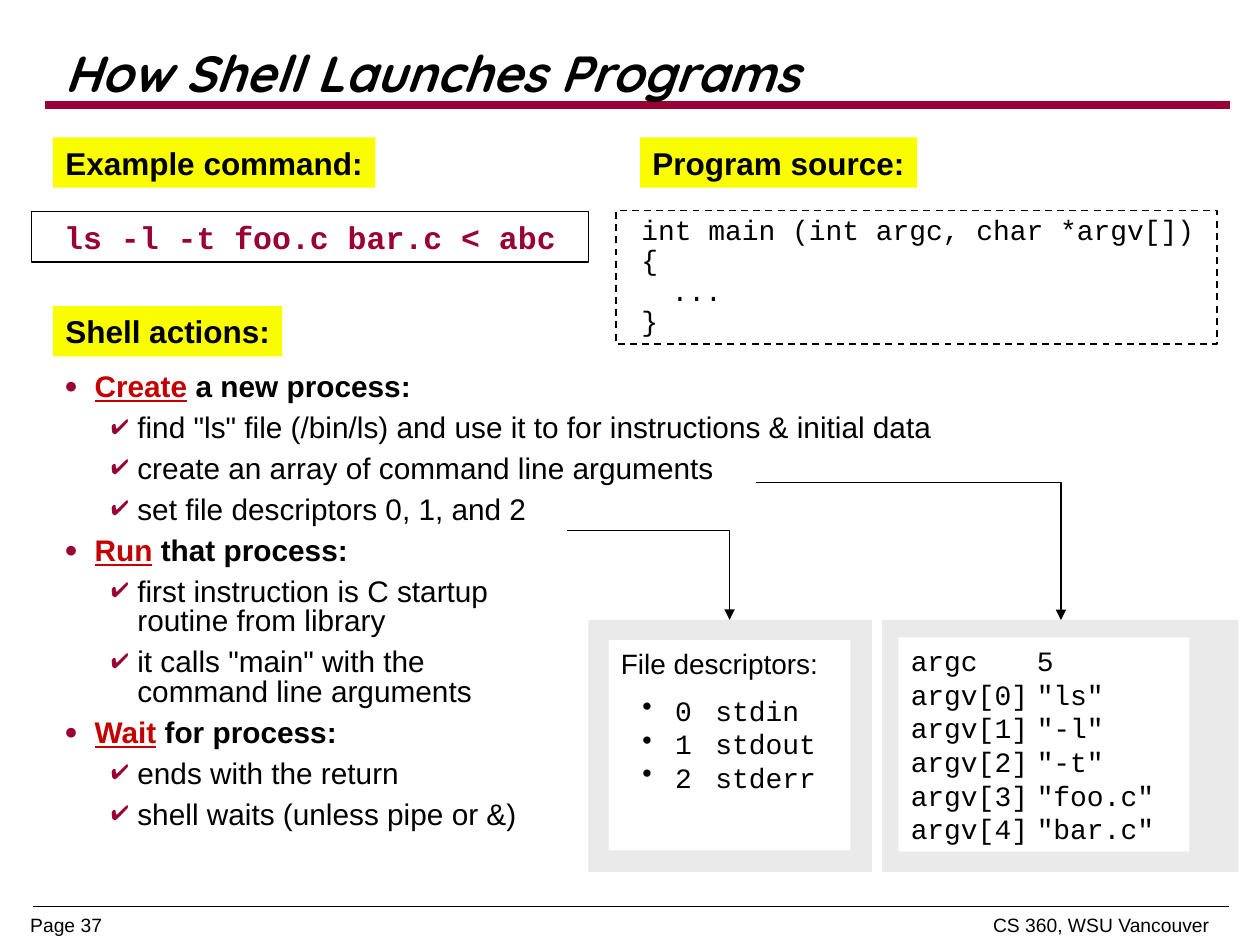
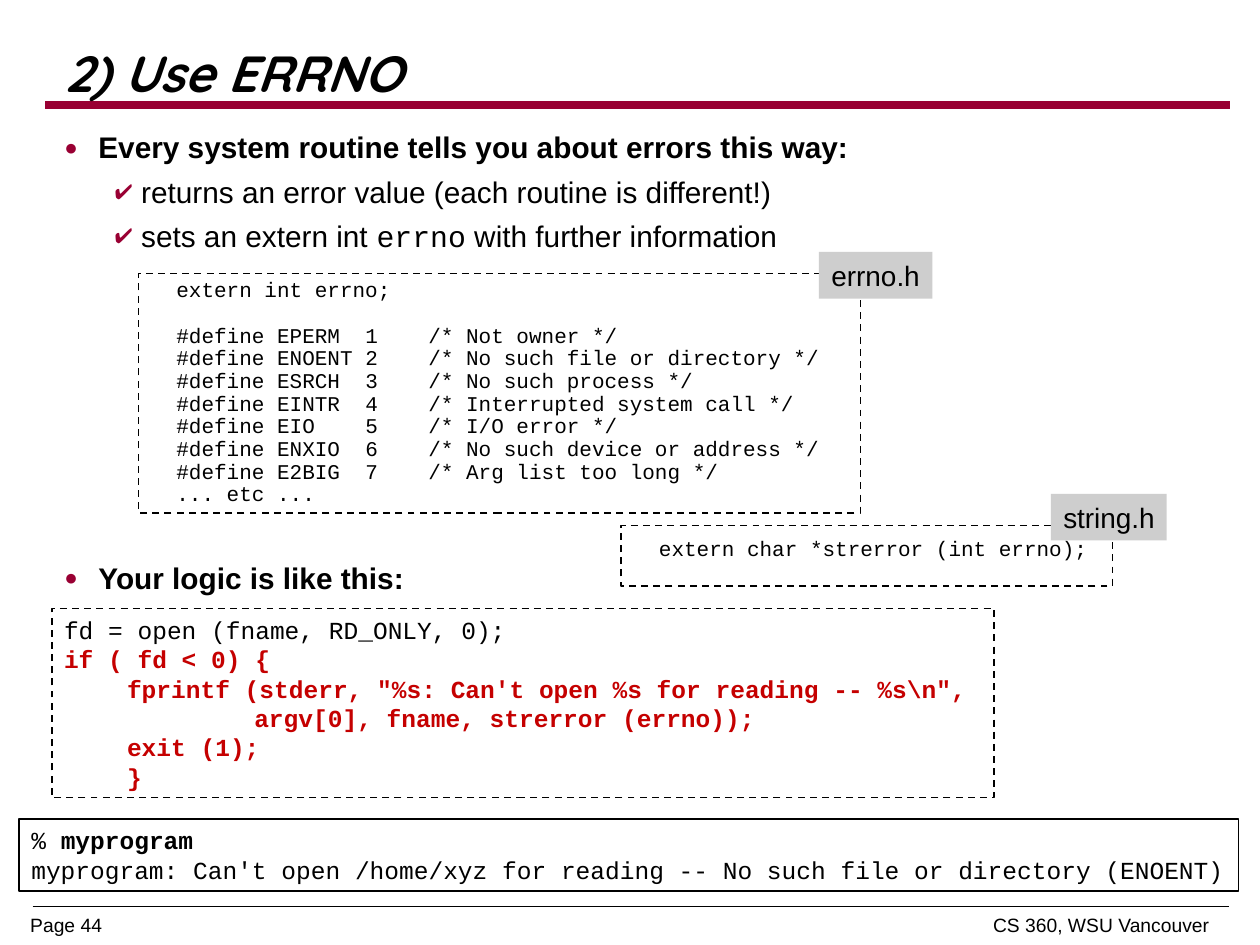
from lxml.etree import SubElement
from pptx import Presentation
from pptx.dml.color import RGBColor
from pptx.enum.dml import MSO_LINE
from pptx.enum.shapes import MSO_CONNECTOR, MSO_SHAPE
from pptx.enum.text import MSO_ANCHOR, MSO_AUTO_SIZE, PP_ALIGN
from pptx.oxml.ns import qn
from pptx.util import Inches, Pt

SANS, MONO, DISPLAY = "Arial", "Courier New", "Quicksand"
BLACK, WHITE, MAROON, RED = "000000", "FFFFFF", "990033", "C50000"
YELLOW, PANEL, TAG = "FAFD00", "EAEAEA", "CECECE"


def rgb(value):
    return RGBColor.from_string(value)


def inches(*values):
    return [Inches(v) for v in values]


class Deck:
    def __init__(self):
        self.prs = Presentation()
        self.prs.slide_width, self.prs.slide_height = inches(10, 7.5)
        self.s = None

    def slide(self, title, page):
        self.s = self.prs.slides.add_slide(self.prs.slide_layouts[1])
        tf = self.placeholder(0, 0.42, 0.31, 9.57, 0.6, MSO_ANCHOR.MIDDLE)
        self.para(tf, title, size=29, font=DISPLAY, bold=True, italic=True, spacing=0.87)
        rule = self.line(0.36, 0.83, 9.76, 0.83, MAROON, 4.5)
        self.s.shapes._spTree.insert(2, rule._element)
        self.line(0.26, 7.19, 9.75, 7.19, BLACK, 0.25)
        self.footer(f"Page {page}", 0.24, 2, PP_ALIGN.LEFT)
        self.footer("CS 360, WSU Vancouver", 6.6, 3, PP_ALIGN.RIGHT)

    def footer(self, text, x, w, align):
        tf = self.s.shapes.add_textbox(*inches(x, 7.26, w, 0.24)).text_frame
        self.frame(tf, 0, 0, 0)
        self.para(tf, text, size=11, align=align, spacing=0.96)

    def frame(self, tf, left, right, vertical, anchor=MSO_ANCHOR.TOP):
        tf.auto_size = MSO_AUTO_SIZE.NONE
        tf.word_wrap = True
        tf.vertical_anchor = anchor
        tf.margin_left, tf.margin_right = inches(left, right)
        tf.margin_top = tf.margin_bottom = Inches(vertical)

    def placeholder(self, idx, x, y, w, h, anchor=MSO_ANCHOR.TOP):
        sp = self.s.placeholders[idx]
        sp.left, sp.top, sp.width, sp.height = inches(x, y, w, h)
        self.frame(sp.text_frame, 0.09, 0.09, 0.05, anchor)
        return sp.text_frame

    def para(self, tf, runs, size=16, font=SANS, color=BLACK, bold=False, italic=False,
             align=PP_ALIGN.LEFT, spacing=1.0, before=0, level=0, margin=0, hang=0,
             bullet=None, tabs=()):
        p = tf.paragraphs[0]
        if p.runs:
            p = tf.add_paragraph()
        p.alignment, p.level, p.line_spacing = align, level, spacing
        p.space_before, p.space_after = Pt(before), Pt(0)
        pPr = p._p.get_or_add_pPr()
        pPr.set("marL", str(Inches(margin)))
        pPr.set("indent", str(Inches(-hang)))
        if bullet:
            char, bullet_color, percent = bullet
            clr = SubElement(pPr, qn("a:buClr"))
            SubElement(clr, qn("a:srgbClr"), val=bullet_color)
            SubElement(pPr, qn("a:buSzPct"), val=str(percent * 1000))
            SubElement(pPr, qn("a:buChar"), char=char)
        if tabs:
            tab_list = SubElement(pPr, qn("a:tabLst"))
            for pos in tabs:
                SubElement(tab_list, qn("a:tab"), pos=str(Inches(pos)), algn="l")
        style = dict(size=size, font=font, color=color, bold=bold, italic=italic)
        for text, changes in [(runs, {})] if isinstance(runs, str) else runs:
            for i, part in enumerate(text.split("\n")):
                if i:
                    p.add_line_break()
                self.run(p, part, **{**style, **changes})

    def run(self, p, text, size, font, color, bold, italic, underline=False):
        r = p.add_run()
        r.text = text
        r.font.name, r.font.size = font, Pt(size)
        r.font.bold, r.font.italic, r.font.underline = bold, italic, underline
        r.font.color.rgb = rgb(color)

    def bullets(self, tf, items, margins, spacing):
        for level, runs, before in items:
            self.para(tf, runs, size=17, bold=level == 0, spacing=spacing, before=before,
                      level=level, margin=margins[level],
                      hang=0.21 if level else margins[0],
                      bullet=("✔", MAROON, 70) if level else ("●", MAROON, 75))

    def box(self, x, y, w, h, fill=None, line=None, dash=False, left=0.1, right=0,
            vertical=0.05, anchor=MSO_ANCHOR.TOP):
        sp = self.s.shapes.add_shape(MSO_SHAPE.RECTANGLE, *inches(x, y, w, h))
        sp.shadow.inherit = False
        if fill:
            sp.fill.solid()
            sp.fill.fore_color.rgb = rgb(fill)
        else:
            sp.fill.background()
        if line:
            sp.line.color.rgb = rgb(line)
            sp.line.width = Pt(1)
            if dash:
                sp.line.dash_style = MSO_LINE.DASH
        else:
            sp.line.fill.background()
        self.frame(sp.text_frame, left, right, vertical, anchor)
        return sp.text_frame

    def label(self, text, x, y, w, h=0.4, fill=YELLOW, size=18, bold=True):
        self.para(self.box(x, y, w, h, fill), text, size=size, bold=bold)

    def tag(self, text, x, y, w):
        self.label(text, x, y, w, 0.37, TAG, 16, False)

    def code(self, tf, lines, **style):
        for line in lines:
            text, changes = (line, {}) if isinstance(line, str) else line
            self.para(tf, text, **{"font": MONO, **style, **changes})

    def line(self, x1, y1, x2, y2, color=BLACK, width=1, kind=MSO_CONNECTOR.STRAIGHT):
        c = self.s.shapes.add_connector(kind, *inches(x1, y1, x2, y2))
        c.line.color.rgb = rgb(color)
        c.line.width = Pt(width)
        SubElement(c._element.spPr, qn("a:effectLst"))
        return c

    def elbow_arrow(self, x1, y1, x2, y2):
        c = self.line(x1, y1, x2, y2, kind=MSO_CONNECTOR.ELBOW)
        c._element.spPr.find(qn("a:prstGeom")).set("prst", "bentConnector2")
        SubElement(c.line._get_or_add_ln(), qn("a:tailEnd"), type="triangle")


def shell_slide(d):
    d.slide("How Shell Launches Programs", 37)

    def step(verb, rest):
        return 0, [(verb, {"color": RED, "underline": True}), (rest, {})], 6.4

    def detail(text):
        return 1, text, 6.4

    d.bullets(d.placeholder(1, 0.42, 2.92, 9.33, 3.96), [
        step("Create", " a new process:"),
        detail('find "ls" file (/bin/ls) and use it to for instructions & initial data'),
        detail("create an array of command line arguments"),
        detail("set file descriptors 0, 1, and 2"),
        step("Run", " that process:"),
        detail("first instruction is C startup\nroutine from library"),
        detail('it calls "main" with the\ncommand line arguments'),
        step("Wait", " for process:"),
        detail("ends with the return"),
        detail("shell waits (unless pipe or &)"),
    ], (0.24, 0.58), 0.83)

    d.label("Example command:", 0.42, 1.09, 2.56)
    d.label("Program source:", 5.08, 1.09, 2.2)
    d.label("Shell actions:", 0.42, 2.43, 1.82)

    command = d.box(0.25, 1.68, 4.42, 0.4, line=BLACK, right=0.1, anchor=MSO_ANCHOR.MIDDLE)
    d.code(command, ["ls -l -t foo.c bar.c < abc"], size=18, color=MAROON, bold=True,
           align=PP_ALIGN.CENTER)
    source = d.box(4.89, 1.67, 4.77, 1.06, line=BLACK, dash=True, left=0.2)
    d.code(source, ["int main (int argc, char *argv[])", "{", ("...", {"margin": 0.24}), "}"],
           spacing=0.9)

    d.box(4.67, 4.92, 2.25, 2, PANEL)
    descriptors = d.box(4.83, 5.08, 1.92, 1.67, WHITE)
    d.para(descriptors, "File descriptors:")
    for i, name in enumerate(("stdin", "stdout", "stderr")):
        d.para(descriptors, f"{i}\t{name}", font=MONO, level=1, margin=0.43, hang=0.26,
               spacing=1 if i else 1.4, bullet=("•", BLACK, 100), tabs=(0.75,))
    d.elbow_arrow(4.5, 4.21, 5.79, 4.92)

    d.box(7, 4.92, 2.83, 2, PANEL)
    arguments = ["ls", "-l", "-t", "foo.c", "bar.c"]
    rows = [f'argv[{i}]\t"{a}"' for i, a in enumerate(arguments)]
    d.code(d.box(7.13, 5.06, 2.31, 1.7, WHITE), [f"argc\t{len(arguments)}"] + rows,
           tabs=(1.18,))
    d.elbow_arrow(6, 3.83, 8.42, 4.92)


def errno_slide(d):
    d.slide("2) Use ERRNO", 44)
    d.bullets(d.placeholder(1, 0.42, 1, 9.23, 5.79), [
        (0, "Every system routine tells you about errors this way:", 6.4),
        (1, "returns an error value (each routine is different!)", 6.4),
        (1, [("sets an extern int ", {}), ("errno", {"font": MONO}),
             (" with further information", {})], 6.4),
        (0, "Your logic is like this:", 176),
    ], (0.27, 0.61), 0.93)

    logic = d.box(0.41, 4.83, 7.48, 1.5, line=BLACK, dash=True)
    red = {"color": RED, "bold": True}
    inner = {**red, "margin": 0.5}
    d.code(logic, [
        "fd = open (fname, RD_ONLY, 0);",
        ("if ( fd < 0) {", red),
        ('fprintf (stderr, "%s: Can\'t open %s for reading -- %s\\n",', inner),
        ("argv[0], fname, strerror (errno));", {**red, "margin": 1.51}),
        ("exit (1);", inner),
        ("}", inner),
    ], size=14)

    errors = [("EPERM", "Not owner"), ("ENOENT", "No such file or directory"),
              ("ESRCH", "No such process"), ("EINTR", "Interrupted system call"),
              ("EIO", "I/O error"), ("ENXIO", "No such device or address"),
              ("E2BIG", "Arg list too long")]
    defines = [(f"#define {name}\t{i}\t/* {meaning} */", {"before": 13 if i == 1 else 0})
               for i, (name, meaning) in enumerate(errors, 1)]
    header = d.box(1.1, 2.17, 5.73, 1.9, WHITE, BLACK, True, left=0.3)
    d.code(header, ["extern int errno;", *defines, "... etc ..."], size=12, spacing=0.9,
           tabs=(1.62, 2.13))
    d.tag("errno.h", 6.5, 2, 0.9)

    prototype = d.box(4.93, 4.17, 3.9, 0.48, WHITE, BLACK, True, left=0.3, vertical=0.1)
    d.code(prototype, ["extern char *strerror (int errno);"], size=12, spacing=0.9)
    d.tag("string.h", 8.34, 3.92, 0.92)

    d.code(d.box(0.15, 6.5, 9.68, 0.57, WHITE, BLACK), [
        ([("% ", {}), ("myprogram", {"bold": True})], {}),
        "myprogram: Can't open /home/xyz for reading -- No such file or directory (ENOENT)",
    ], size=14)


def main():
    d = Deck()
    shell_slide(d)
    errno_slide(d)
    d.prs.save("out.pptx")


if __name__ == "__main__":
    main()
